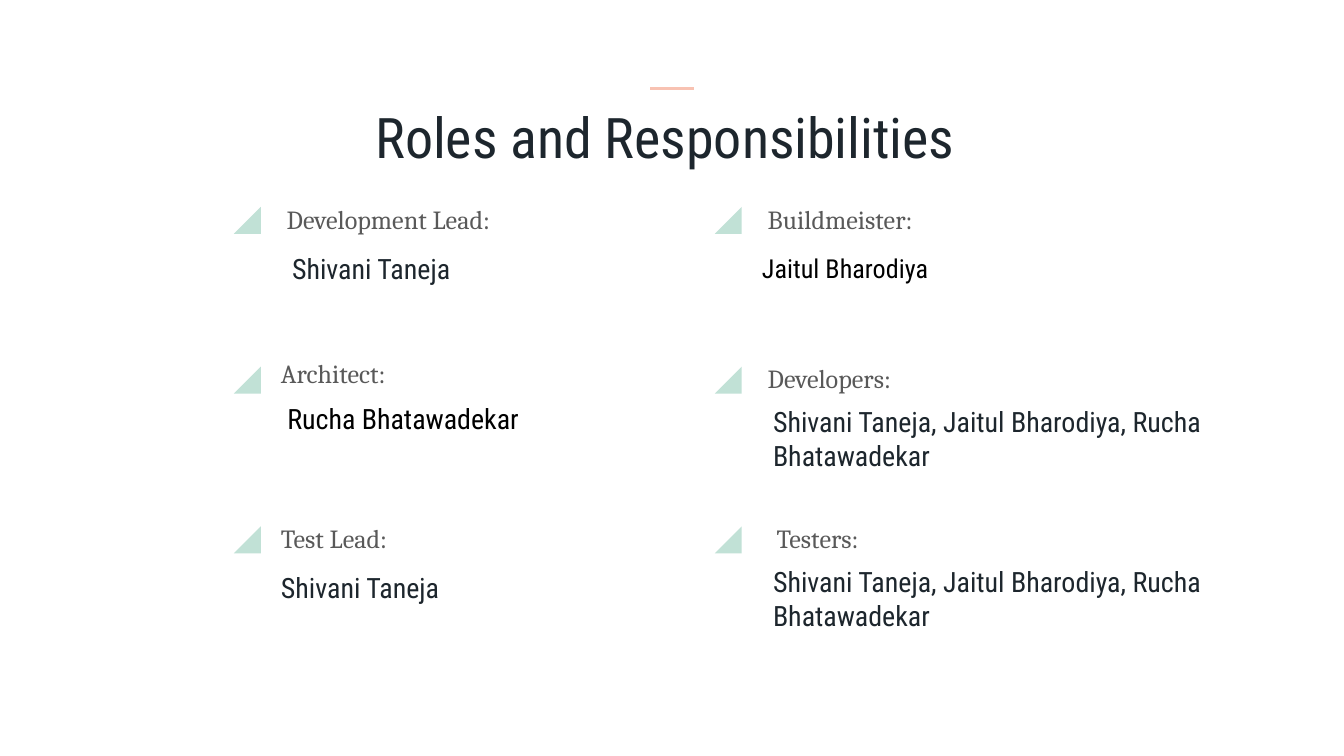
from dataclasses import dataclass

from lxml import etree
from pptx import Presentation
from pptx.dml.color import RGBColor
from pptx.enum.shapes import MSO_CONNECTOR, MSO_SHAPE
from pptx.enum.text import MSO_ANCHOR, MSO_AUTO_SIZE, PP_ALIGN
from pptx.oxml.ns import qn
from pptx.util import Cm, Pt

STRAIGHT = MSO_CONNECTOR.STRAIGHT
RIGHT_TRIANGLE = MSO_SHAPE.RIGHT_TRIANGLE
TOP, MIDDLE = MSO_ANCHOR.TOP, MSO_ANCHOR.MIDDLE
LEFT, CENTER = PP_ALIGN.LEFT, PP_ALIGN.CENTER
NO_AUTOFIT = MSO_AUTO_SIZE.NONE

TITLE = "Roles and Responsibilities"
TEAM = ("Shivani Taneja, Jaitul Bharodiya, Rucha", "Bhatawadekar")


@dataclass(frozen=True)
class Theme:
    heading_font: str = "Roboto Condensed"
    label_font: str = "Cambria"
    ink: str = "1D262D"
    black: str = "000000"
    label: str = "595959"
    marker: str = "C1E1D6"
    accent: str = "F8C2B2"
    title_size: int = 30
    name_size: int = 15
    small_name_size: int = 14
    label_size: int = 14


THEME = Theme()


@dataclass(frozen=True)
class Role:
    """One role; the indents and raises are in centimetres."""
    label: str
    names: tuple
    label_indent: float = 0
    name_indent: float = 0
    label_raise: float = 0
    name_raise: float = 0
    name_color: str = THEME.ink
    name_size: int = THEME.name_size


# One list per column, from top to bottom
COLUMNS = [
    [
        Role("Development Lead:", ("Shivani Taneja",),
             label_indent=0.11, name_indent=0.21),
        Role("Architect:", ("Rucha Bhatawadekar",), name_indent=0.12,
             label_raise=0.1, name_raise=0.18, name_color=THEME.black),
        Role("Test Lead:", ("Shivani Taneja",)),
    ],
    [
        Role("Buildmeister:", ("Jaitul Bharodiya",), label_indent=0.11,
             name_color=THEME.black, name_size=THEME.small_name_size),
        Role("Developers:", TEAM, label_indent=0.11, name_indent=0.21),
        Role("Testers:", TEAM, label_indent=0.28, name_indent=0.21),
    ],
]

# Grid, in centimetres
MARKER_LEFTS = (4.42, 13.51)
TEXT_GAP = 0.64
FIRST_ROW, ROW_STEP = 3.91, 3.02
MARKER_SIZE = 0.51
LABEL_OFFSET, LABEL_HEIGHT = -0.18, 0.81
NAME_OFFSET = 0.7
NAME_HEIGHTS = {1: 0.91, 2: 1.32}
TEXT_WIDTHS = (6.1, 9.02)
INSET = 0.25


def write_text(shape, lines, *, font, size, color, align=LEFT, anchor=MIDDLE):
    frame = shape.text_frame
    frame.word_wrap = True
    frame.auto_size = NO_AUTOFIT
    frame.vertical_anchor = anchor
    frame.margin_left = frame.margin_right = Cm(INSET)
    frame.margin_top = frame.margin_bottom = Cm(INSET)
    frame.text = "\n".join(lines)
    for paragraph in frame.paragraphs:
        paragraph.alignment = align
        paragraph.font.name = font
        paragraph.font.size = Pt(size)
        paragraph.font.color.rgb = RGBColor.from_string(color)


def add_text(slide, left, top, width, height, lines, **text_format):
    box = slide.shapes.add_textbox(Cm(left), Cm(top), Cm(width), Cm(height))
    write_text(box, lines, **text_format)


def add_title(slide):
    rule = slide.shapes.add_connector(STRAIGHT, Cm(12.29), Cm(1.68), Cm(13.11), Cm(1.68))
    rule.line.color.rgb = RGBColor.from_string(THEME.accent)
    rule.line.width = Pt(1.5)
    etree.SubElement(rule._element.spPr, qn("a:effectLst"))

    title = slide.shapes.title
    title.left, title.top = Cm(5.36), Cm(1.68)
    title.width, title.height = Cm(14.43), Cm(1.47)
    write_text(title, [TITLE], font=THEME.heading_font, size=THEME.title_size,
               color=THEME.ink, align=CENTER, anchor=TOP)


def add_marker(slide, left, top):
    marker = slide.shapes.add_shape(
        RIGHT_TRIANGLE, Cm(left), Cm(top), Cm(MARKER_SIZE), Cm(MARKER_SIZE))
    marker.shadow.inherit = False
    marker.fill.solid()
    marker.fill.fore_color.rgb = RGBColor.from_string(THEME.marker)
    marker.line.fill.background()
    marker._element.spPr.xfrm.set("flipH", "1")


def add_role(slide, role, left, top, width):
    add_marker(slide, left, top)
    text_left = left + TEXT_GAP
    add_text(slide, text_left + role.label_indent,
             top + LABEL_OFFSET - role.label_raise, width, LABEL_HEIGHT,
             [role.label], font=THEME.label_font, size=THEME.label_size,
             color=THEME.label)
    add_text(slide, text_left + role.name_indent,
             top + NAME_OFFSET - role.name_raise, width,
             NAME_HEIGHTS[len(role.names)], role.names,
             font=THEME.heading_font, size=role.name_size,
             color=role.name_color)


def main():
    presentation = Presentation()
    presentation.slide_width, presentation.slide_height = Cm(25.4), Cm(14.29)
    title_only = presentation.slide_layouts[5]
    slide = presentation.slides.add_slide(title_only)
    add_title(slide)
    for left, width, roles in zip(MARKER_LEFTS, TEXT_WIDTHS, COLUMNS):
        for row, role in enumerate(roles):
            add_role(slide, role, left, FIRST_ROW + row * ROW_STEP, width)
    presentation.save("out.pptx")


if __name__ == "__main__":
    main()
